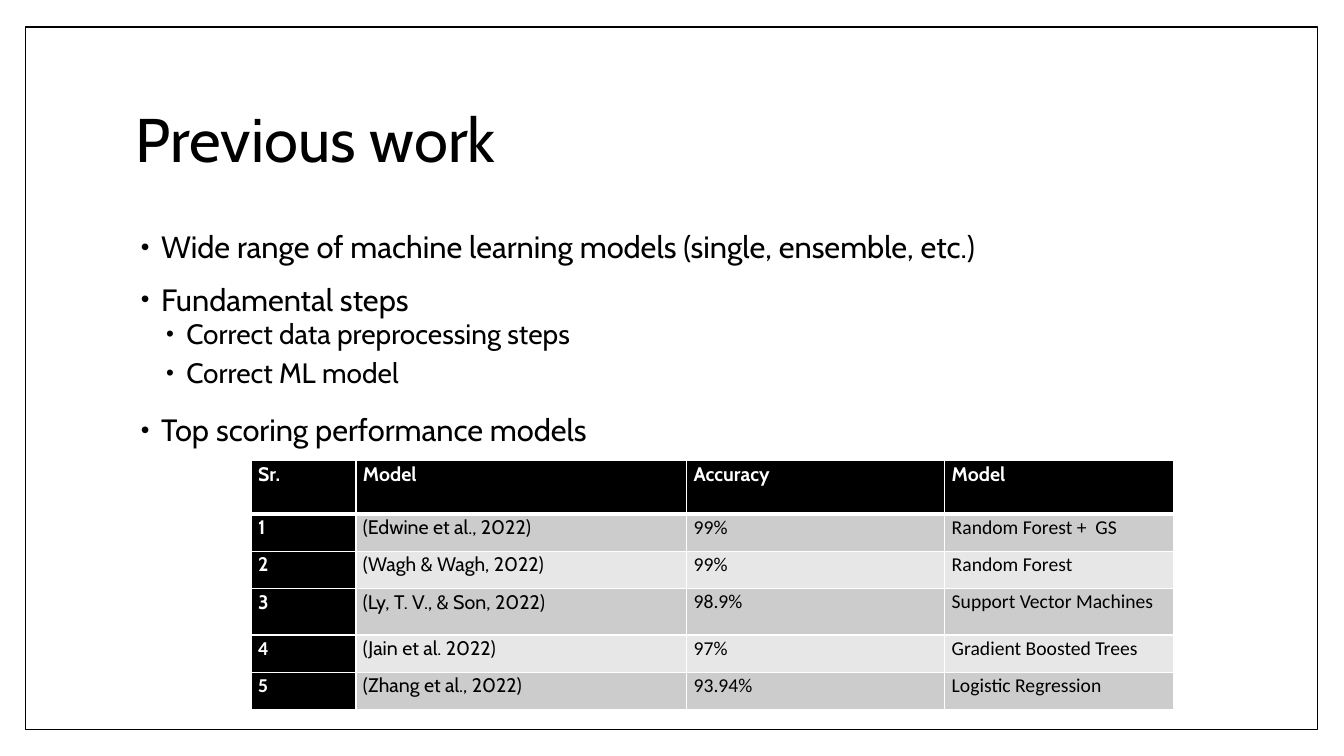
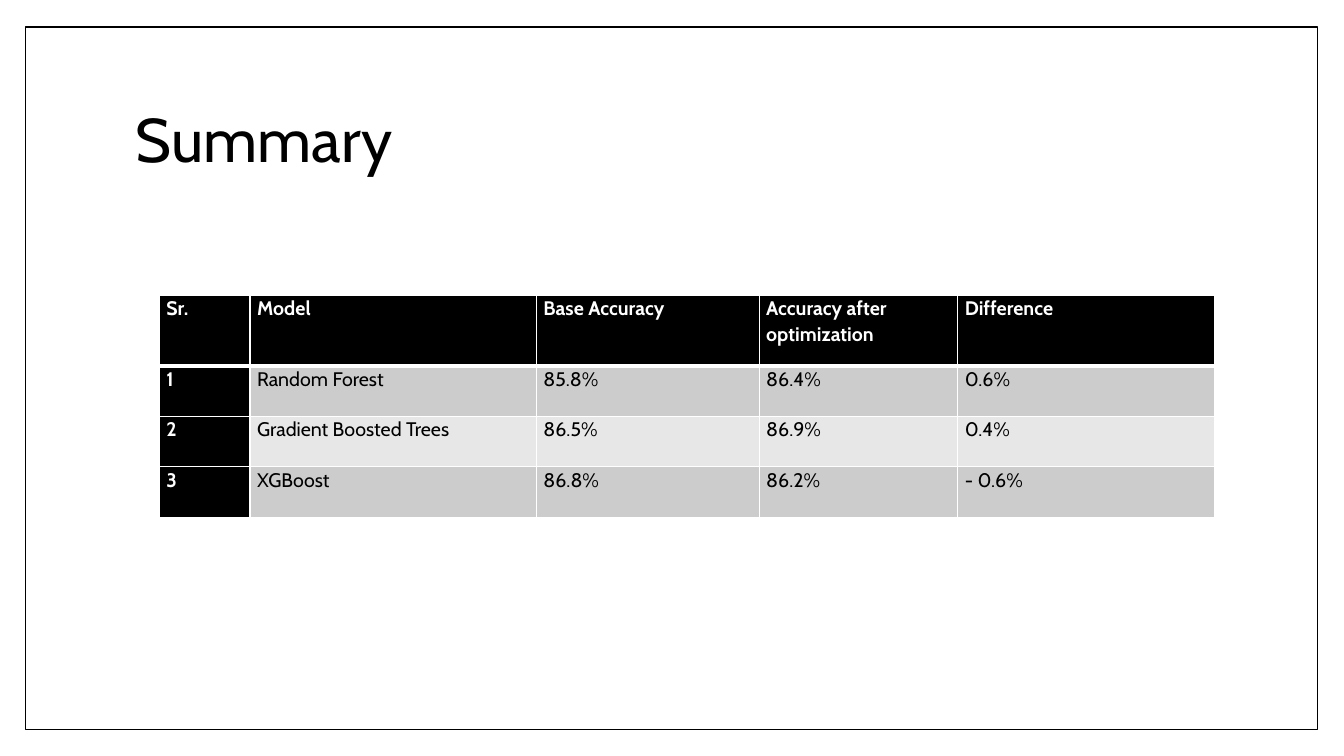
"""Builds two framed slides on model accuracy: previous work and summary."""
from lxml import etree
from pptx import Presentation
from pptx import util as u
from pptx.dml.color import RGBColor
from pptx.enum import shapes, text
from pptx.oxml import ns

BLACK, WHITE = "000000", "FFFFFF"
BANDS = ("CCCCCC", "E7E7E7")
MAIN_FONT, DETAIL_FONT = "Cabin", "Calibri"
FRAME = (0.25, 0.27, 12.82, 6.97)
TITLE = (1.25, 0.67, 10.8, 1.48)
BODY = (1.25, 2.25, 10.8, 4.42)
LEVELS = (
    {"size": 22, "margin": 0.25, "before": 14, "after": 0},
    {"size": 20, "margin": 0.5, "before": 2, "after": 4},
)

SLIDES = [
    {
        "title": "Previous work",
        "points": [
            (0, "Wide range of machine learning models (single, ensemble, etc.)"),
            (0, "Fundamental steps"),
            (1, "Correct data preprocessing steps"),
            (1, "Correct ML model"),
            (0, "Top scoring performance models"),
        ],
        "corner": (2.49, 4.57),
        "widths": (1.04, 3.28, 2.56, 2.27),
        "heights": (0.53, 0.37, 0.37, 0.46, 0.37, 0.37),
        "rows": [
            ("Sr.", "Model", "Accuracy", "Model"),
            ("1", "(Edwine et al., 2022)", "99%", "Random Forest +  GS"),
            ("2", "(Wagh & Wagh, 2022)", "99%", "Random Forest"),
            ("3", "(Ly, T. V., & Son, 2022)", "98.9%", "Support Vector Machines"),
            ("4", "(Jain et al. 2022)", "97%", "Gradient Boosted Trees"),
            ("5", "(Zhang et al., 2022)", "93.94%", "Logistic Regression"),
        ],
        "detail_cells": {(r, c) for r in range(1, 6) for c in (2, 3)} | {(4, 0), (5, 0)},
    },
    {
        "title": "Summary",
        "points": [],
        "corner": (1.58, 2.93),
        "widths": (0.9, 2.84, 2.21, 1.97, 2.55),
        "heights": (0.7, 0.5, 0.5, 0.5),
        "rows": [
            ("Sr.", "Model", "Base Accuracy", "Accuracy after optimization", "Difference"),
            ("1", "Random Forest", "85.8%", "86.4%", "0.6%"),
            ("2", "Gradient Boosted Trees", "86.5%", "86.9%", "0.4%"),
            ("3", "XGBoost", "86.8%", "86.2%", "- 0.6%"),
        ],
        "detail_cells": set(),
    },
]


def rgb(value):
    return RGBColor.from_string(value)


def inches(values):
    return [u.Inches(v) for v in values]


def add_xml(parent, tag, **attributes):
    return etree.SubElement(parent, ns.qn(tag), attributes)


def write(paragraph, words, size, color=BLACK, font=MAIN_FONT, bold=False,
          spacing=0.9, before=0, after=0):
    paragraph.line_spacing = spacing
    paragraph.space_before, paragraph.space_after = u.Pt(before), u.Pt(after)
    run = paragraph.add_run()
    run.text = words
    run.font.size, run.font.name, run.font.bold = u.Pt(size), font, bold
    run.font.color.rgb = rgb(color)


def add_frame(slide):
    frame = slide.shapes.add_shape(shapes.MSO_SHAPE.RECTANGLE, *inches(FRAME))
    frame.shadow.inherit = False
    frame.fill.solid()
    frame.fill.fore_color.rgb = rgb(WHITE)
    frame.line.color.rgb = rgb(BLACK)
    frame.line.width = u.Pt(1)


def add_text_area(slide, place):
    area = slide.shapes.add_textbox(*inches(place)).text_frame
    area.word_wrap = True
    return area


def add_title(slide, words):
    title = add_text_area(slide, TITLE)
    title.vertical_anchor = text.MSO_ANCHOR.MIDDLE
    write(title.paragraphs[0], words, 44)


def add_points(slide, points):
    body = add_text_area(slide, BODY)
    for i, (depth, words) in enumerate(points):
        point = body.add_paragraph() if i else body.paragraphs[0]
        level = LEVELS[depth]
        point.level = depth
        write(point, words, level["size"], before=level["before"], after=level["after"])
        props = point._p.get_or_add_pPr()
        props.set("marL", str(u.Inches(level["margin"])))
        props.set("indent", str(u.Inches(-0.2)))
        add_xml(add_xml(props, "a:buClr"), "a:srgbClr", val=BLACK)
        add_xml(props, "a:buSzPct", val="80000")
        add_xml(props, "a:buFont", typeface="Arial")
        add_xml(props, "a:buChar", char="•")


def add_borders(cell, row):
    props = cell._tc.get_or_add_tcPr()
    top, bottom = (3 if row == 1 else 1), (3 if row == 0 else 1)
    for side, width in (("L", 1), ("R", 1), ("T", top), ("B", bottom)):
        border = add_xml(props, f"a:ln{side}", w=str(u.Pt(width)))
        add_xml(add_xml(border, "a:solidFill"), "a:srgbClr", val=WHITE)


def add_results(slide, content):
    rows, widths, heights = content["rows"], content["widths"], content["heights"]
    place = (*content["corner"], sum(widths), sum(heights))
    results = slide.shapes.add_table(len(rows), len(widths), *inches(place)).table
    results.horz_banding = False
    for column, width in zip(results.columns, inches(widths)):
        column.width = width
    for r, (line, height) in enumerate(zip(rows, inches(heights))):
        results.rows[r].height = height
        for c, words in enumerate(line):
            cell = results.cell(r, c)
            heading = r == 0 or c == 0
            cell.margin_left = cell.margin_right = u.Inches(0.07)
            cell.margin_top = cell.margin_bottom = 0
            add_borders(cell, r)
            cell.fill.solid()
            cell.fill.fore_color.rgb = rgb(BLACK if heading else BANDS[(r - 1) % 2])
            font = DETAIL_FONT if (r, c) in content["detail_cells"] else MAIN_FONT
            write(cell.text_frame.paragraphs[0], words, 14, WHITE if heading else BLACK,
                  font, heading, spacing=1.07, after=8)


def main():
    deck = Presentation()
    deck.slide_width, deck.slide_height = inches((13.33, 7.5))
    for content in SLIDES:
        slide = deck.slides.add_slide(deck.slide_layouts[6])
        add_frame(slide)
        add_title(slide, content["title"])
        if content["points"]:
            add_points(slide, content["points"])
        add_results(slide, content)
    deck.save("out.pptx")


if __name__ == "__main__":
    main()
